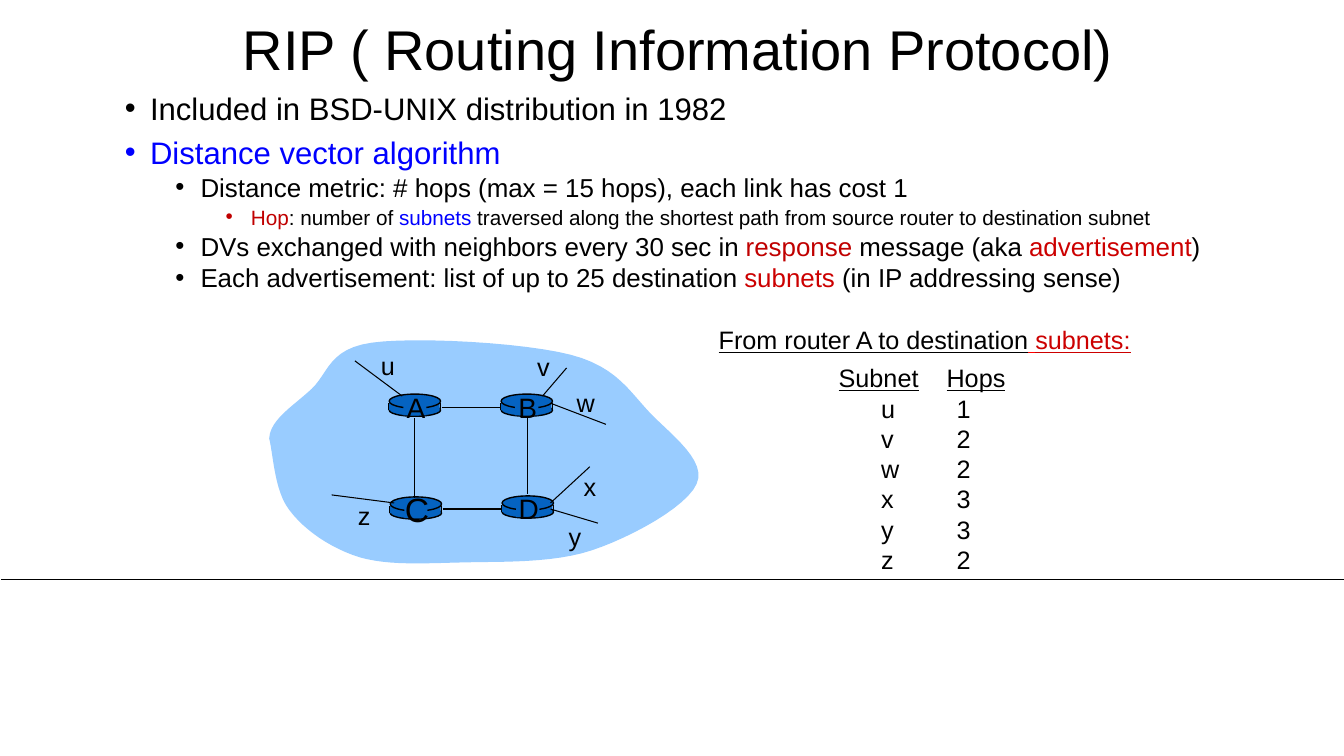
from lxml.etree import SubElement
from pptx import Presentation
from pptx.dml.color import RGBColor
from pptx.enum.shapes import MSO_CONNECTOR as Connector, MSO_SHAPE as Shape
from pptx.enum.text import MSO_ANCHOR as Anchor, MSO_AUTO_SIZE as AutoSize, PP_ALIGN as Align
from pptx.oxml.ns import qn
from pptx.util import Inches, Pt

BLACK, BLUE, RED, CRIMSON = "000000", "0000FF", "C00000", "CC0000"
ROUTER_BLUE, CLOUD_BLUE = "0563C1", "99CCFF"


def color(value):
    return RGBColor.from_string(value)


def write(para, text, size=18, fill=BLACK, underline=False):
    span = para.add_run()
    span.text = text
    span.font.name = "Arial"
    span.font.size = Pt(size)
    span.font.color.rgb = color(fill)
    span.font.underline = underline


class Page:
    def __init__(self, deck):
        self.slide = deck.slides.add_slide(deck.slide_layouts[5])
        self.shapes = self.slide.shapes

    def title(self, text, left, top, width, height):
        box = self.shapes.title
        box.left, box.top, box.width, box.height = map(Inches, (left, top, width, height))
        frame = box.text_frame
        frame.auto_size = AutoSize.NONE
        frame.vertical_anchor = Anchor.MIDDLE
        para = frame.paragraphs[0]
        para.alignment = Align.CENTER
        para.line_spacing = 0.9
        write(para, text, size=40)

    def frame(self, left, top, width, height):
        box = self.shapes.add_textbox(*map(Inches, (left, top, width, height)))
        box.text_frame.word_wrap = True
        return box.text_frame

    def label(self, text, left, top, width, height, size=18, align=Align.LEFT):
        para = self.frame(left, top, width, height).paragraphs[0]
        para.alignment = align
        write(para, text, size=size)

    def bullets(self, items, *place):
        frame = self.frame(*place)
        for index, (level, spans) in enumerate(items):
            para = frame.paragraphs[0] if index == 0 else frame.add_paragraph()
            para.level = level
            properties = para._p.get_or_add_pPr()
            properties.set("marL", str(Inches(0.25 + 0.5 * level)))
            properties.set("indent", str(Inches(-0.25)))
            SubElement(properties, qn("a:buFont"), typeface="Arial")
            SubElement(properties, qn("a:buChar"), char="•")
            para.line_spacing = 0.8
            if index:
                para.space_before = Pt(5 if level else 10)
            for text, fill in spans:
                write(para, text, size=(22.2, 18.5, 14.8)[level], fill=fill)

    def tabbed(self, rows, *place):
        frame = self.frame(*place)
        for index, (stops, spans) in enumerate(rows):
            para = frame.paragraphs[0] if index == 0 else frame.add_paragraph()
            tabs = SubElement(para._p.get_or_add_pPr(), qn("a:tabLst"))
            for stop in stops:
                SubElement(tabs, qn("a:tab"), pos=str(Inches(stop)), algn="l")
            for text, underline in spans:
                write(para, text, underline=underline)

    def line(self, start, end, weight=0.75):
        link = self.shapes.add_connector(Connector.STRAIGHT, *map(Inches, start + end))
        link.line.color.rgb = color(BLACK)
        link.line.width = Pt(weight)
        SubElement(link._element.spPr, qn("a:effectLst"))

    def paint(self, shape, fill, outline):
        shape.shadow.inherit = False
        shape.fill.solid()
        shape.fill.fore_color.rgb = color(fill)
        if outline:
            shape.line.color.rgb = color(BLACK)
            shape.line.width = Pt(1)
        else:
            shape.line.fill.background()

    def solid(self, kind, left, top, width, height, fill=ROUTER_BLUE, outline=False):
        shape = self.shapes.add_shape(kind, *map(Inches, (left, top, width, height)))
        self.paint(shape, fill, outline)

    def cloud(self, start, curves, fill, steps=12):
        points, here = [], start
        for x1, y1, x2, y2, x3, y3 in curves:
            for step in range(1, steps + 1):
                t = step / steps
                weights = ((1 - t) ** 3, 3 * t * (1 - t) ** 2, 3 * t * t * (1 - t), t ** 3)
                axes = ((here[0], x1, x2, x3), (here[1], y1, y2, y3))
                points.append(tuple(Inches(sum(w * v for w, v in zip(weights, axis)))
                                    for axis in axes))
            here = (x3, y3)
        builder = self.shapes.build_freeform(*map(Inches, start), scale=1.0)
        builder.add_line_segments(points, close=True)
        self.paint(builder.convert_to_shape(), fill, False)

    def router(self, left, top):
        self.solid(Shape.OVAL, left, top + 0.1, 0.51, 0.12, outline=True)
        for side in (left, left + 0.51):
            self.line((side, top + 0.09), (side, top + 0.16), weight=1)
        self.solid(Shape.RECTANGLE, left, top + 0.09, 0.5, 0.07)
        self.solid(Shape.OVAL, left, top, 0.51, 0.14, outline=True)


def main():
    deck = Presentation()
    deck.slide_width, deck.slide_height = Inches(13.33), Inches(7.5)
    page = Page(deck)
    page.line((0.01, 5.75), (13.33, 5.75), weight=0.5)
    page.title("RIP ( Routing Information Protocol)", 2.25, 0.17, 8.94, 0.7)
    page.bullets([
        (0, [("Included in BSD-UNIX distribution in 1982", BLACK)]),
        (0, [("Distance vector algorithm", BLUE)]),
        (1, [("Distance metric: # hops (max = 15 hops), each link has cost 1", BLACK)]),
        (2, [("Hop", RED), (": number of ", BLACK), ("subnets", BLUE),
             (" traversed along the shortest path from source router to destination subnet", BLACK)]),
        (1, [("DVs exchanged with neighbors every 30 sec in ", BLACK), ("response", RED),
             (" message (aka ", BLACK), ("advertisement", CRIMSON), (")", BLACK)]),
        (1, [("Each advertisement: list of up to 25 destination ", BLACK),
             ("subnets ", CRIMSON), ("(in IP addressing sense)", BLACK)]),
    ], 1.14, 0.91, 11.09, 2.19)

    page.cloud((2.67, 4.35), [
        (2.68, 4.16, 2.92, 4.02, 3.09, 3.86), (3.26, 3.7, 3.26, 3.46, 3.69, 3.4),
        (4.12, 3.34, 5.2, 3.4, 5.66, 3.52), (6.13, 3.64, 6.26, 3.91, 6.47, 4.12),
        (6.68, 4.33, 7.01, 4.58, 6.91, 4.8), (6.81, 5.03, 6.26, 5.33, 5.87, 5.46),
        (5.48, 5.59, 4.97, 5.57, 4.59, 5.58), (4.2, 5.59, 3.85, 5.61, 3.57, 5.53),
        (3.28, 5.44, 3.02, 5.26, 2.87, 5.06), (2.72, 4.87, 2.71, 4.5, 2.67, 4.35),
    ], CLOUD_BLUE)

    routers = [("A", 3.86, 3.91, 20), ("B", 4.97, 3.91, 20),
               ("C", 3.87, 4.93, 24), ("D", 4.98, 4.92, 20)]
    for name, left, top, size in routers:
        page.router(left, top)
    for start, end in [((5.23, 4.14), (5.23, 4.9)), ((4.11, 4.15), (4.11, 4.94)),
                       ((4.39, 5.05), (4.98, 5.05)), ((4.38, 4.04), (4.97, 4.04))]:
        page.line(start, end, weight=1)
    for name, left, top, size in routers:
        page.solid(Shape.RECTANGLE, left + 0.14, top + 0.02, 0.23, 0.19)
        height = 0.51 if size == 24 else 0.44
        page.label(name, left + 0.04, top + 0.13 - height / 2, 0.45, height, size, Align.CENTER)

    subnets = [
        ("u", 1, (3.99, 3.93), (3.52, 3.58), (3.68, 3.43)),
        ("v", 2, (5.38, 3.93), (5.62, 3.65), (5.23, 3.44)),
        ("w", 2, (5.46, 4), (6.01, 4.21), (5.62, 3.79)),
        ("x", 3, (5.46, 4.99), (5.85, 4.63), (5.69, 4.63)),
        ("y", 3, (5.46, 5.05), (5.93, 5.19), (5.54, 5.12)),
        ("z", 2, (3.91, 4.99), (3.29, 4.91), (3.45, 4.91)),
    ]
    for name, hops, start, end, place in subnets:
        page.line(start, end)
        page.label(name, *place, 0.38, 0.4)

    header = ((1.07,), [("Subnet", True), ("\t", False), ("Hops", True)])
    rows = [((0.42, 1.17), [(f"\t{name}\t{hops}", False)]) for name, hops, *rest in subnets]
    page.tabbed([header] + rows, 8.22, 3.55, 1.87, 2.2)

    heading = page.frame(7.03, 3.17, 4.43, 0.4).paragraphs[0]
    for text, fill in [("From router A to destination", BLACK), (" ", "FF0000"),
                       ("subnets:", CRIMSON)]:
        write(heading, text, fill=fill, underline=True)
    deck.save("out.pptx")


if __name__ == "__main__":
    main()
